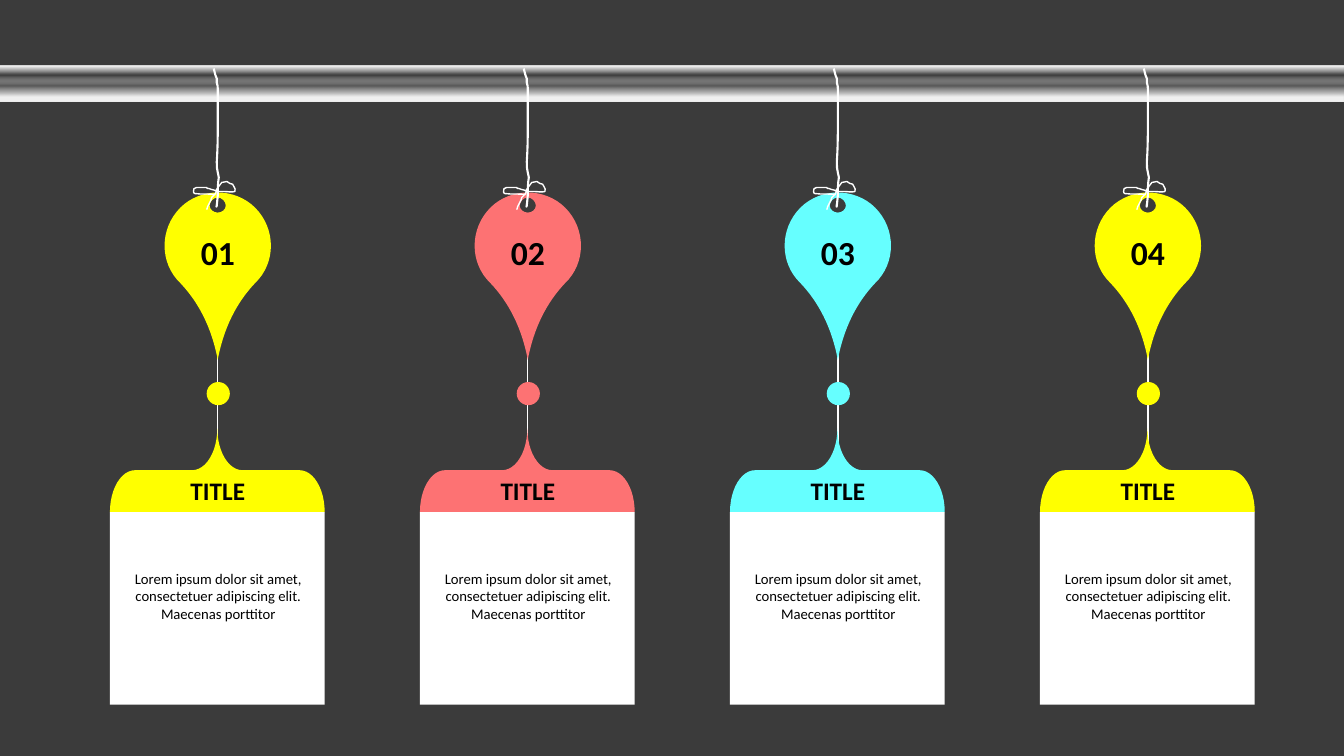
"""Build a slide of four numbered tags hanging from a metal rail."""
from dataclasses import dataclass

from lxml.etree import SubElement
from pptx import Presentation
from pptx.dml.color import RGBColor
from pptx.enum.shapes import MSO_CONNECTOR, MSO_SHAPE as SHAPE
from pptx.enum.text import MSO_AUTO_SIZE as AUTO, PP_ALIGN
from pptx.oxml.ns import qn
from pptx.util import Inches, Pt

BACKDROP = RGBColor(0x3B, 0x3B, 0x3B)
WHITE = RGBColor(0xFF, 0xFF, 0xFF)
BLACK = RGBColor(0x00, 0x00, 0x00)
YELLOW = RGBColor(0xFF, 0xFF, 0x00)
CORAL = RGBColor(0xFD, 0x72, 0x73)
CYAN = RGBColor(0x66, 0xFF, 0xFF)
PALE = RGBColor(0xF2, 0xF2, 0xF2)
STEEL = RGBColor(0x59, 0x59, 0x59)

FIRST_CENTER = 2.16
PITCH = 12.3 / 4
BODY = "Lorem ipsum dolor sit amet, consectetuer adipiscing elit. Maecenas porttitor"


@dataclass(frozen=True)
class Tag:
    number: str
    color: RGBColor


@dataclass(frozen=True)
class Stop:
    percent: int
    color: RGBColor
    alpha: int = 100


@dataclass(frozen=True)
class Curve:
    start: tuple
    beziers: tuple

    def points(self, cx: float) -> list:
        pts = [self.start]
        for bezier in self.beziers:
            pts += zip(bezier[::2], bezier[1::2])
        return [(Inches(cx + x), Inches(y)) for x, y in pts]


@dataclass(frozen=True)
class Label:
    left: float
    top: float
    width: float
    height: float
    size: float
    bold: bool


TAGS = (Tag("01", YELLOW), Tag("02", CORAL), Tag("03", CYAN), Tag("04", YELLOW))
RAIL_STOPS = (Stop(14, PALE), Stop(45, STEEL), Stop(73, WHITE, 0), Stop(99, WHITE))
NUMBER_LABEL = Label(-0.44, 2.25, 0.88, 0.5, 24, True)
TITLE_LABEL = Label(-0.69, 4.67, 1.38, 0.4, 18, True)
BODY_LABEL = Label(-0.96, 5.6, 1.93, 0.63, 10.5, False)

HOLE = Curve((0, 1.96), (
    (-0.04, 1.96, -0.08, 2, -0.08, 2.04), (-0.08, 2.08, -0.04, 2.11, 0, 2.11),
    (0.04, 2.11, 0.08, 2.08, 0.08, 2.04), (0.08, 2, 0.04, 1.96, 0, 1.96)))
PIN = Curve((0, 1.91), (
    (0.13, 1.91, 0.27, 1.96, 0.37, 2.06), (0.58, 2.27, 0.58, 2.61, 0.37, 2.81),
    (0.19, 3, 0.06, 3.25, 0, 3.57), (-0.06, 3.25, -0.19, 3, -0.37, 2.81),
    (-0.58, 2.61, -0.58, 2.27, -0.37, 2.06), (-0.27, 1.96, -0.13, 1.91, 0, 1.91)))
STRING = Curve((-0.04, 0.68), (
    (-0.02, 0.76, -0.03, 0.73, -0.01, 0.78), (-0.01, 0.79, -0.01, 0.81, -0.01, 0.82),
    (0, 0.84, 0, 0.87, 0, 0.89), (0, 0.9, 0, 0.92, 0, 0.94),
    (0, 1.04, 0, 1.14, 0, 1.24), (0, 1.71, -0.03, 1.57, 0.01, 1.76),
    (0, 1.82, 0, 1.88, 0, 1.94), (-0.02, 2.15, -0.01, 1.99, -0.01, 2.04)))
BOW = Curve((-0.02, 1.93), (
    (-0.09, 1.92, -0.16, 1.93, -0.23, 1.92), (-0.24, 1.92, -0.24, 1.9, -0.24, 1.9),
    (-0.25, 1.87, -0.23, 1.87, -0.21, 1.86), (-0.18, 1.86, -0.15, 1.86, -0.11, 1.86),
    (-0.11, 1.87, -0.1, 1.87, -0.09, 1.87), (-0.08, 1.88, -0.07, 1.88, -0.06, 1.88),
    (-0.04, 1.88, -0.03, 1.89, -0.01, 1.9), (0.01, 1.9, 0.04, 1.9, 0.06, 1.9),
    (0.1, 1.9, 0.14, 1.91, 0.17, 1.9), (0.18, 1.89, 0.17, 1.86, 0.16, 1.85),
    (0.15, 1.82, 0.15, 1.83, 0.12, 1.82), (0.11, 1.81, 0.1, 1.81, 0.09, 1.8),
    (0.08, 1.81, 0.06, 1.8, 0.04, 1.81), (0.03, 1.82, 0.02, 1.84, 0.01, 1.85),
    (-0.07, 1.96, 0.04, 1.82, -0.03, 1.93), (-0.04, 1.94, -0.05, 1.95, -0.06, 1.96),
    (-0.08, 2.02, -0.05, 1.95, -0.08, 2.01), (-0.09, 2.02, -0.09, 2.04, -0.1, 2.05),
    (-0.1, 2.06, -0.11, 2.08, -0.11, 2.08)))


def fill_shape(sp, color: RGBColor) -> None:
    sp.shadow.inherit = False
    sp.fill.solid()
    sp.fill.fore_color.rgb = color
    sp.line.fill.background()


def add_preset(shapes, kind: SHAPE, box: tuple, color: RGBColor):
    sp = shapes.add_shape(kind, *map(Inches, box))
    fill_shape(sp, color)
    return sp


def bend_segments(sp) -> None:
    lines = list(sp._element.iter(qn("a:lnTo")))
    for first, second, third in zip(lines[::3], lines[1::3], lines[2::3]):
        first.tag = qn("a:cubicBezTo")
        for line in (second, third):
            first.append(line[0])
            line.getparent().remove(line)


def add_curves(shapes, cx: float, curves: tuple, closed: bool):
    builder = None
    for curve in curves:
        start, *rest = curve.points(cx)
        if builder is None:
            builder = shapes.build_freeform(*start, scale=1.0)
        else:
            builder.move_to(*start)
        builder.add_line_segments(rest, close=closed)
    sp = builder.convert_to_shape()
    bend_segments(sp)
    return sp


def add_cord(shapes, cx: float, curve: Curve, width: float) -> None:
    sp = add_curves(shapes, cx, (curve,), closed=False)
    sp.shadow.inherit = False
    sp.fill.background()
    sp.line.color.rgb = WHITE
    sp.line.width = Pt(width)


def add_stem(shapes, cx: float) -> None:
    stem = shapes.add_connector(MSO_CONNECTOR.STRAIGHT, Inches(cx), Inches(3.24),
                                Inches(cx), Inches(4.72))
    stem.line.color.rgb = WHITE
    stem.line.width = Pt(1)
    SubElement(stem._element.spPr, qn("a:effectLst"))


def add_label(shapes, cx: float, label: Label, text: str) -> None:
    box = (cx + label.left, label.top, label.width, label.height)
    tf = shapes.add_textbox(*map(Inches, box)).text_frame
    tf.word_wrap = True
    tf.auto_size = AUTO.SHAPE_TO_FIT_TEXT
    p = tf.paragraphs[0]
    p.text = text
    p.alignment = PP_ALIGN.CENTER
    p.font.name = "Calibri"
    p.font.size = Pt(label.size)
    p.font.bold = label.bold
    p.font.color.rgb = BLACK


def add_rail(shapes) -> None:
    rail = add_preset(shapes, SHAPE.RECTANGLE, (0, 0.65, 13.33, 0.36), WHITE)
    rail.fill.gradient()
    rail.fill.gradient_angle = 90
    stops = rail._element.spPr.find(".//" + qn("a:gsLst"))
    for old in list(stops):
        stops.remove(old)
    for stop in RAIL_STOPS:
        gs = SubElement(stops, qn("a:gs"), pos=str(stop.percent * 1000))
        color = SubElement(gs, qn("a:srgbClr"), val=str(stop.color))
        if stop.alpha < 100:
            SubElement(color, qn("a:alpha"), val=str(stop.alpha * 1000))


def add_tag(shapes, cx: float, tag: Tag) -> None:
    add_stem(shapes, cx)
    fill_shape(add_curves(shapes, cx, (HOLE, PIN), closed=True), tag.color)
    brace = add_preset(shapes, SHAPE.LEFT_BRACE, (cx - 0.42, 3.6, 0.83, 2.13), tag.color)
    brace.rotation = 90
    brace.adjustments[0] = 0.3
    add_preset(shapes, SHAPE.RECTANGLE, (cx - 1.07, 5.08, 2.13, 1.91), WHITE)
    add_preset(shapes, SHAPE.OVAL, (cx - 0.11, 3.79, 0.23, 0.23), tag.color)
    add_cord(shapes, cx, STRING, 1.5)
    add_cord(shapes, cx, BOW, 1)
    add_label(shapes, cx, NUMBER_LABEL, tag.number)
    add_label(shapes, cx, TITLE_LABEL, "TITLE")
    add_label(shapes, cx, BODY_LABEL, BODY)


def main() -> None:
    prs = Presentation()
    prs.slide_width, prs.slide_height = Inches(13.33), Inches(7.5)
    s = prs.slides.add_slide(prs.slide_layouts[6])
    s.background.fill.solid()
    s.background.fill.fore_color.rgb = BACKDROP
    add_rail(s.shapes)
    for i, tag in enumerate(TAGS):
        add_tag(s.shapes, FIRST_CENTER + i * PITCH, tag)
    prs.save("out.pptx")


if __name__ == "__main__":
    main()
